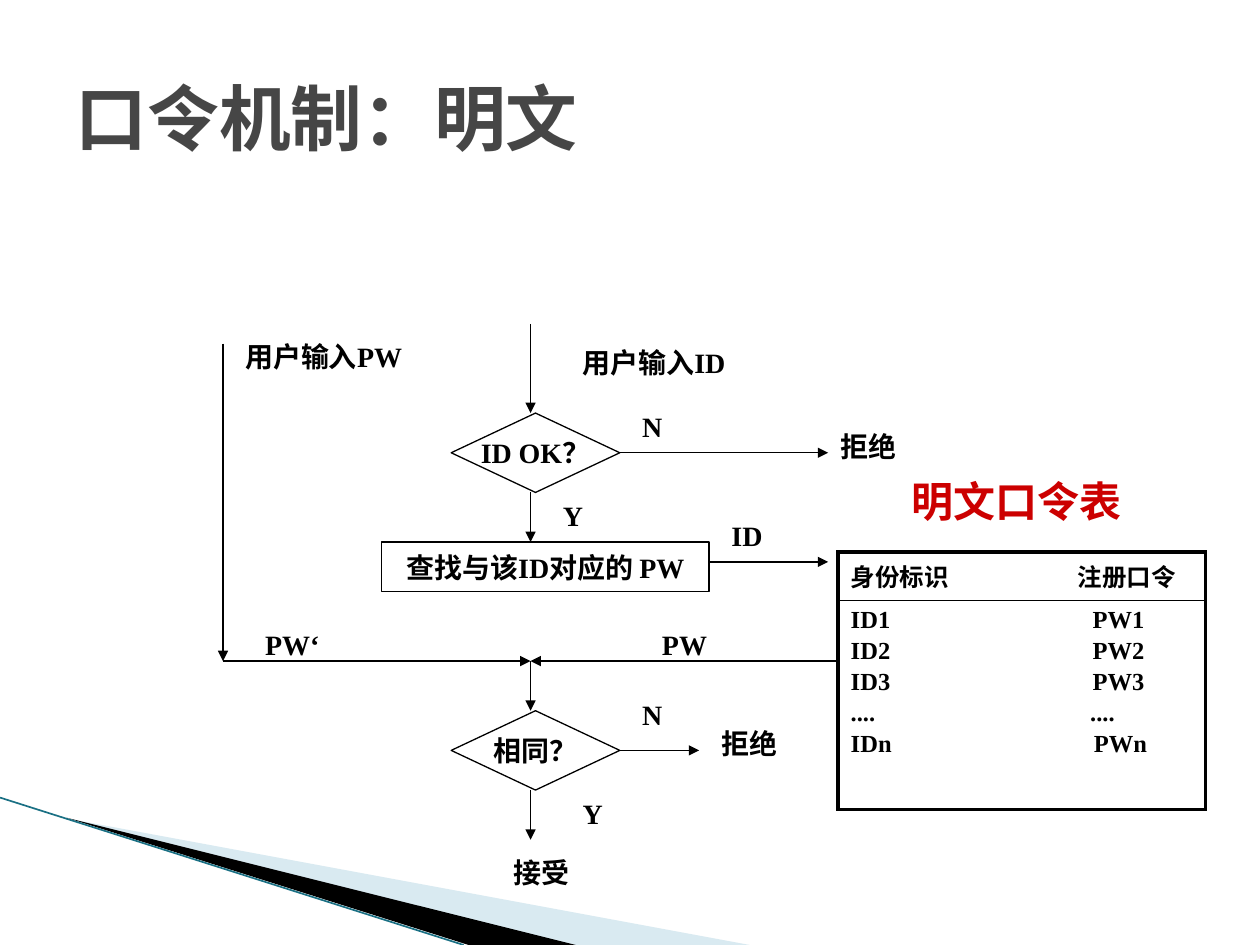
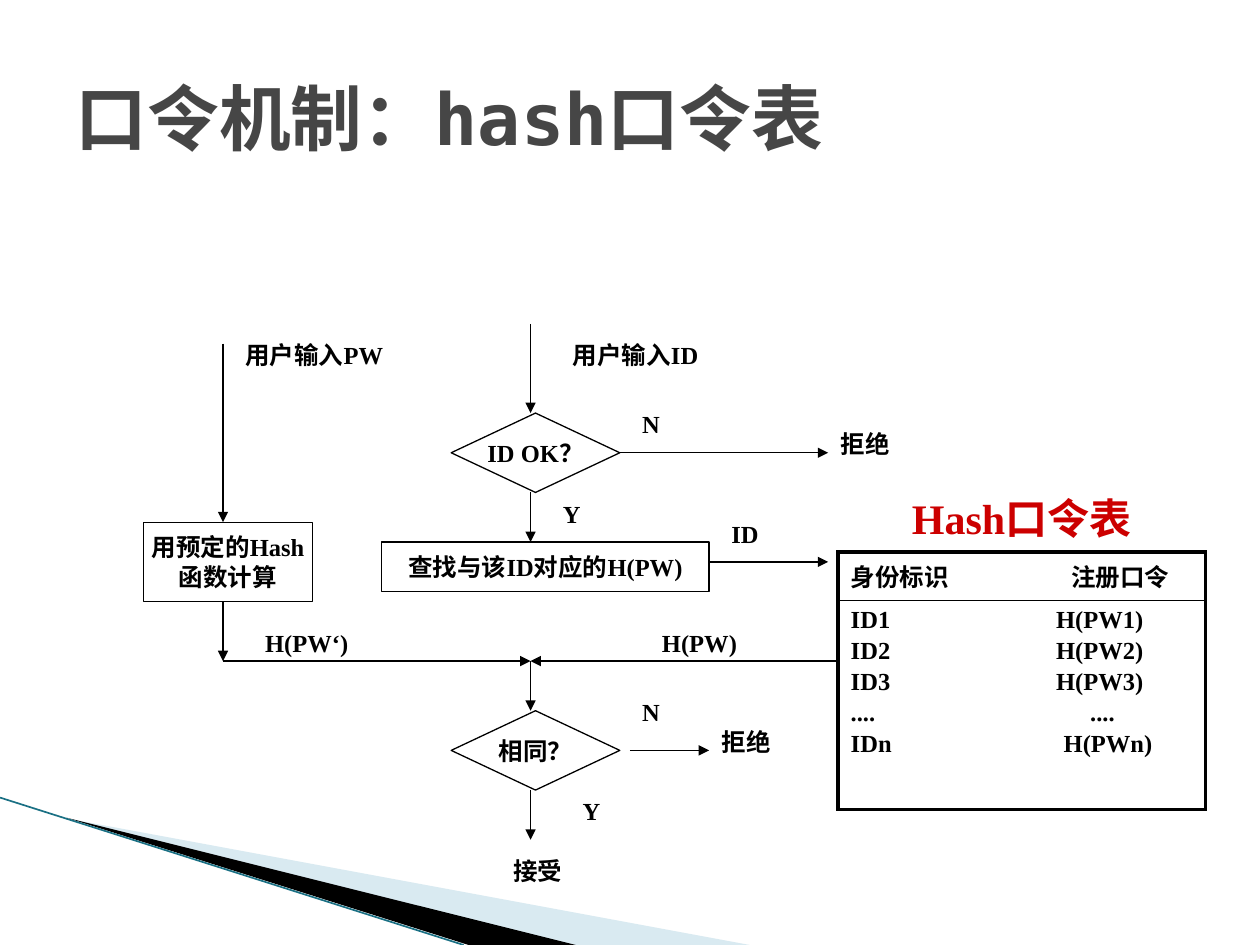
"""Build two slides that compare plaintext and hashed password checking."""
from lxml.etree import SubElement
from pptx import Presentation
from pptx.dml.color import RGBColor
from pptx.enum.shapes import MSO_CONNECTOR, MSO_SHAPE
from pptx.enum.text import MSO_ANCHOR, MSO_AUTO_SIZE, PP_ALIGN
from pptx.oxml.ns import qn
from pptx.util import Inches, Pt

BLACK = RGBColor(0x00, 0x00, 0x00)
WHITE = RGBColor(0xFF, 0xFF, 0xFF)
GREY = RGBColor(0x46, 0x46, 0x46)
RED = RGBColor(0xCC, 0x00, 0x00)
PALE = RGBColor(0xA0, 0xCB, 0xDC)
TEAL = RGBColor(0x1A, 0x70, 0x84)
TITLE_FONT = "DejaVu Sans Mono"
FONT = "Times New Roman"

prs = Presentation()
prs.slide_width, prs.slide_height = Inches(10), Inches(7.5)
U = prs.slide_width / 127
LEFT, TOP = Inches(1.77), Inches(2.57)


def grid(col, row):
    return round(LEFT + col * U), round(TOP + row * U)


def add_run(p, text, size, color=BLACK, font=FONT):
    r = p.add_run()
    r.text = text
    r.font.name, r.font.size, r.font.bold = font, Pt(size), True
    r.font.color.rgb = color


SLIDES = [
    dict(
        title="口令机制：明文", size=16,
        boxes=[(16, 22, 33, 5, ["查找与该ID对应的 PW"])],
        arrows=[(0, 2, 0, 34), (40, 43, 48, 43)],
        labels=[(35, 1.6, 28, "用户输入ID"), (3, 30, 16, "PW‘"), (43, 30, 16, "PW")],
        caption=(63, 14.7, 34, "明文口令表"),
        rows=[("身份标识", "注册口令", 1.8), ("ID1", "PW1", 1.92), ("ID2", "PW2", 1.92),
              ("ID3", "PW3", 1.92), ("....", "....", 1.9), ("IDn", "PWn", 1.93)],
    ),
    dict(
        title="口令机制：hash口令表", size=14,
        boxes=[(16, 22, 33, 5, ["查找与该ID对应的H(PW)"]),
               (-8, 20, 17, 8, ["用预定的Hash", "函数计算"])],
        arrows=[(0, 2, 0, 20), (0, 28, 0, 34), (41, 43, 49, 43)],
        labels=[(34, 1, 28, "用户输入ID"), (3, 30, 16, "H(PW‘)"), (43, 30, 16, "H(PW)")],
        caption=(63, 16.4, 35, "Hash口令表"),
        rows=[("身份标识", "注册口令", 1.75), ("ID1", "H(PW1)", 1.63), ("ID2", "H(PW2)", 1.63),
              ("ID3", "H(PW3)", 1.63), ("....", "....", 1.9), ("IDn", "H(PWn)", 1.69)],
    ),
]
DIAMONDS = [(23, 9, 17, 8, ["ID OK？"]), (23, 39, 17, 8, ["相同？"])]
ARROWS = [(40, 13, 61, 13), (31, 0, 31, 9), (31, 17, 31, 22), (49, 24, 61, 24),
          (0, 34, 31, 34), (31, 34, 31, 39), (31, 47, 31, 52), (62, 34, 31, 34)]
LABELS = [(61, 10, 18, "拒绝"), (28, 53, 9, "接受"), (49, 40, 10, "拒绝"),
          (41, 8, 10, "N"), (41, 37, 10, "N"), (33, 17, 10, "Y"), (35, 47, 10, "Y"),
          (1, 1, 28, "用户输入PW"), (50, 19, 7, "ID")]
WEDGES = [(PALE, [(0.55, 6.5), (5.95, 7.5), (4.56, 7.5)]),
          (BLACK, [(0.53, 6.49), (4.57, 7.5), (3.72, 7.5)])]

for data in SLIDES:
    s = prs.slides.add_slide(prs.slide_layouts[5])
    size = data["size"]

    title = s.shapes.title
    title.left, title.top, title.width, title.height = map(Inches, (0.5, 0.3, 9, 1.25))
    tf = title.text_frame
    tf.auto_size, tf.vertical_anchor = MSO_AUTO_SIZE.NONE, MSO_ANCHOR.MIDDLE
    p = tf.paragraphs[0]
    p.alignment = PP_ALIGN.LEFT
    add_run(p, data["title"], 41, GREY, TITLE_FONT)

    nodes = [(MSO_SHAPE.FLOWCHART_DECISION, d) for d in DIAMONDS]
    nodes += [(MSO_SHAPE.RECTANGLE, b) for b in data["boxes"]]
    for kind, (col, row, w, h, lines) in nodes:
        sp = s.shapes.add_shape(kind, *grid(col, row), round(w * U), round(h * U))
        sp.shadow.inherit = False
        sp.fill.solid()
        sp.fill.fore_color.rgb = WHITE
        sp.line.color.rgb, sp.line.width = BLACK, Pt(0.75)
        tf = sp.text_frame
        tf.word_wrap, tf.vertical_anchor = False, MSO_ANCHOR.MIDDLE
        for i, line in enumerate(lines):
            p = tf.add_paragraph() if i else tf.paragraphs[0]
            p.alignment = PP_ALIGN.CENTER
            add_run(p, line, size)

    frame = s.shapes.add_table(2, 1, *grid(62, 23), round(37 * U), Inches(1.99))
    table = frame.table
    table.first_row = table.horz_banding = False
    table.rows[0].height, table.rows[1].height = Inches(0.33), Inches(1.66)
    edges = [{"L": 2.25, "R": 2.25, "T": 2.25, "B": 1}, {"L": 2.25, "R": 2.25, "T": 1, "B": 2.25}]
    for k, lines in enumerate((data["rows"][:1], data["rows"][1:])):
        cell = table.cell(k, 0)
        tcPr = cell._tc.get_or_add_tcPr()
        for side, width in edges[k].items():
            ln = SubElement(tcPr, qn(f"a:ln{side}"), w=str(Pt(width)))
            fill = SubElement(ln, qn("a:solidFill"))
            SubElement(fill, qn("a:srgbClr"), val=str(BLACK))
        cell.fill.background()
        for i, (name, password, stop) in enumerate(lines):
            p = cell.text_frame.add_paragraph() if i else cell.text_frame.paragraphs[0]
            if i:
                p.space_before = Pt(2.25)
            tabs = SubElement(p._p.get_or_add_pPr(), qn("a:tabLst"))
            SubElement(tabs, qn("a:tab"), pos=str(Inches(stop)), algn="l")
            add_run(p, f"{name}\t{password}", 14)

    for c1, r1, c2, r2 in ARROWS + data["arrows"]:
        cn = s.shapes.add_connector(MSO_CONNECTOR.STRAIGHT, *grid(c1, r1), *grid(c2, r2))
        cn.line.color.rgb, cn.line.width = BLACK, Pt(0.75)
        SubElement(cn.line._get_or_add_ln(), qn("a:tailEnd"), type="triangle")
        SubElement(cn.element.spPr, qn("a:effectLst"))

    texts = [(label, size, BLACK, PP_ALIGN.LEFT) for label in LABELS + data["labels"]]
    texts.append((data["caption"], 24, RED, PP_ALIGN.CENTER))
    for (col, row, w, text), pts, color, align in texts:
        height = Pt(pts * 1.2) + Inches(0.1)
        tb = s.shapes.add_textbox(*grid(col, row), round(w * U), height)
        tf = tb.text_frame
        tf.word_wrap, tf.auto_size = True, MSO_AUTO_SIZE.SHAPE_TO_FIT_TEXT
        p = tf.paragraphs[0]
        p.alignment = align
        add_run(p, text, pts, color)

s = prs.slides[0]
band = []
for color, points in WEDGES:
    corners = [(Inches(x), Inches(y)) for x, y in points]
    fb = s.shapes.build_freeform(*corners[0])
    fb.add_line_segments(corners[1:])
    sp = fb.convert_to_shape()
    sp.shadow.inherit = False
    sp.fill.solid()
    sp.fill.fore_color.rgb = color
    sp.line.fill.background()
    if color == PALE:
        clr = sp.element.spPr.find(f".//{qn('a:srgbClr')}")
        SubElement(clr, qn("a:alpha"), val="40000")
    band.append(sp)
edge = s.shapes.add_connector(MSO_CONNECTOR.STRAIGHT, 0, Inches(6.33), Inches(3.68), prs.slide_height)
edge.line.color.rgb, edge.line.width = TEAL, Pt(0.95)
SubElement(edge.element.spPr, qn("a:effectLst"))
band.append(edge)
for i, sp in enumerate(band):
    sp.element.xpath(".//p:cNvPr")[0].set("id", str(100 + i))
    prs.slide_master.shapes.element.insert(2 + i, sp.element)

prs.save("out.pptx")
